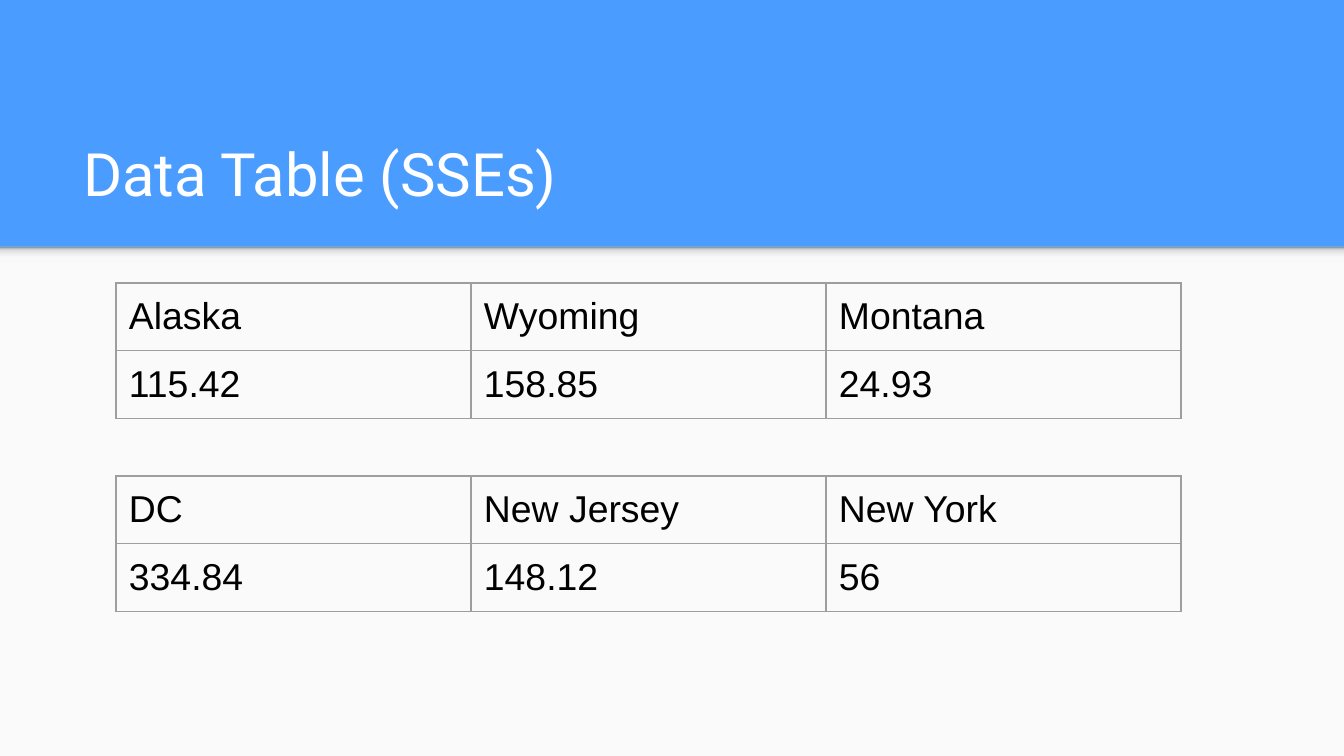
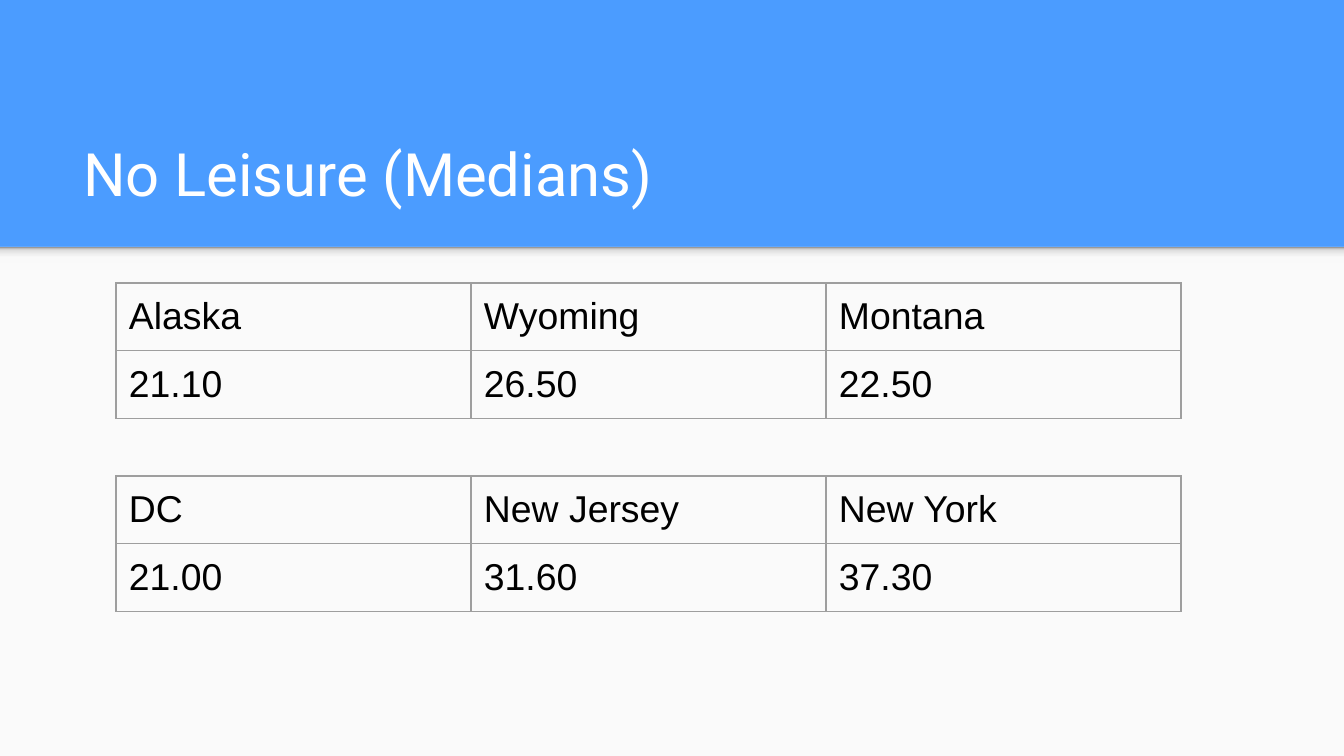
from copy import deepcopy

from lxml import etree
from pptx import Presentation
from pptx.dml.color import RGBColor
from pptx.enum.shapes import MSO_SHAPE
from pptx.enum.text import MSO_ANCHOR, PP_ALIGN
from pptx.oxml.ns import qn
from pptx.util import Pt

SLIDES = [
    ("Data Table (SSEs)", [
        [("Alaska", "Wyoming", "Montana"), ("115.42", "158.85", "24.93")],
        [("DC", "New Jersey", "New York"), ("334.84", "148.12", "56")],
    ]),
    ("No Leisure (Medians)", [
        [("Alaska", "Wyoming", "Montana"), ("21.10", "26.50", "22.50")],
        [("DC", "New Jersey", "New York"), ("21.00", "31.60", "37.30")],
    ]),
]

BLUE = RGBColor(0x4B, 0x9C, 0xFF)
PAPER = RGBColor(0xFA, 0xFA, 0xFA)
WHITE = RGBColor(0xFF, 0xFF, 0xFF)
BLACK = RGBColor(0, 0, 0)
BORDER = RGBColor(0x9E, 0x9E, 0x9E)
SHADE_STOPS = [
    (0, RGBColor(0xF9, 0xF9, 0xF9)),
    (0.36, RGBColor(0xF9, 0xF9, 0xF9)),
    (0.8, RGBColor(0xDE, 0xDE, 0xDE)),
    (1, RGBColor(0x99, 0x99, 0x99)),
]

RECTANGLE = MSO_SHAPE.RECTANGLE
BOTTOM, TOP = MSO_ANCHOR.BOTTOM, MSO_ANCHOR.TOP
LEFT = PP_ALIGN.LEFT

EMU_PER_PX = 914400 / 134.4
WIDTH, HEIGHT = 1344, 756
BAND_BOTTOM, SHADE_HEIGHT = 247, 16
TITLE_BOX = (70, 109, 1208, 113)
TABLE_LEFT, TABLE_TOP, TABLE_STEP = 116, 283, 193
COLUMN_WIDTH, ROW_HEIGHT = 355, 56
INSET = 13
TITLE_ONLY = 5


def px(length):
    return round(length * EMU_PER_PX)


def box(*lengths):
    return [px(length) for length in lengths]


def write(holder, text, *, font, size, color, anchor):
    """Fill a text frame or a table cell with one formatted line."""
    holder.margin_left = holder.margin_right = px(INSET)
    holder.margin_top = holder.margin_bottom = px(INSET)
    holder.vertical_anchor = anchor
    frame = getattr(holder, "text_frame", holder)
    paragraph = frame.paragraphs[0]
    paragraph.alignment = LEFT
    run = paragraph.add_run()
    run.text = text
    run.font.name = font
    run.font.size = Pt(size)
    run.font.color.rgb = color


def add_rectangle(slide, top, height):
    rectangle = slide.shapes.add_shape(RECTANGLE, *box(0, top, WIDTH, height))
    rectangle.shadow.inherit = False
    rectangle.line.fill.background()
    return rectangle


def fill_shade(shade):
    """Fade from light at the bottom to grey at the top."""
    shade.fill.gradient()
    stop_list = shade.element.spPr.find(".//" + qn("a:gsLst"))
    while len(stop_list) < len(SHADE_STOPS):
        stop_list.append(deepcopy(stop_list[0]))
    for stop, (position, color) in zip(shade.fill.gradient_stops, SHADE_STOPS):
        stop.position = position
        stop.color.rgb = color
    shade.fill.gradient_angle = 90


def dress_layout(layout, slide):
    """Give the layout its background, paper and shade, drawn first on a slide."""
    layout.background.fill.solid()
    layout.background.fill.fore_color.rgb = BLUE
    for placeholder in list(layout.placeholders):
        if placeholder.placeholder_format.idx:
            layout.shapes.element.remove(placeholder.element)

    paper = add_rectangle(slide, BAND_BOTTOM, HEIGHT - BAND_BOTTOM)
    paper.fill.solid()
    paper.fill.fore_color.rgb = PAPER
    shade = add_rectangle(slide, BAND_BOTTOM, SHADE_HEIGHT)
    fill_shade(shade)
    for index, part in enumerate((paper, shade), start=2):
        layout.shapes.element.insert(index, part.element)


def border_cell(cell):
    properties = cell._tc.get_or_add_tcPr()
    for side in ("a:lnL", "a:lnR", "a:lnT", "a:lnB"):
        line = etree.SubElement(properties, qn(side), w=str(Pt(0.75)))
        fill = etree.SubElement(line, qn("a:solidFill"))
        etree.SubElement(fill, qn("a:srgbClr"), val=str(BORDER))


def add_state_table(slide, rows, top):
    columns = len(rows[0])
    table = slide.shapes.add_table(
        len(rows), columns,
        *box(TABLE_LEFT, top, columns * COLUMN_WIDTH, len(rows) * ROW_HEIGHT),
    ).table
    table.first_row = table.horz_banding = False
    for column in table.columns:
        column.width = px(COLUMN_WIDTH)
    for row, texts in zip(table.rows, rows):
        row.height = px(ROW_HEIGHT)
        for cell, text in zip(row.cells, texts):
            write(cell, text, font="Arial", size=20, color=BLACK, anchor=TOP)
            border_cell(cell)
            cell.fill.background()


def add_data_slide(deck, layout, heading, tables):
    slide = deck.slides.add_slide(layout)
    title = slide.shapes.title
    title.left, title.top, title.width, title.height = box(*TITLE_BOX)
    write(title.text_frame, heading, font="Roboto", size=32, color=WHITE, anchor=BOTTOM)
    for index, rows in enumerate(tables):
        add_state_table(slide, rows, TABLE_TOP + index * TABLE_STEP)
    return slide


def main():
    deck = Presentation()
    deck.slide_width, deck.slide_height = box(WIDTH, HEIGHT)
    layout = deck.slide_layouts[TITLE_ONLY]
    slides = [add_data_slide(deck, layout, *content) for content in SLIDES]
    dress_layout(layout, slides[0])
    deck.save("out.pptx")


if __name__ == "__main__":
    main()
